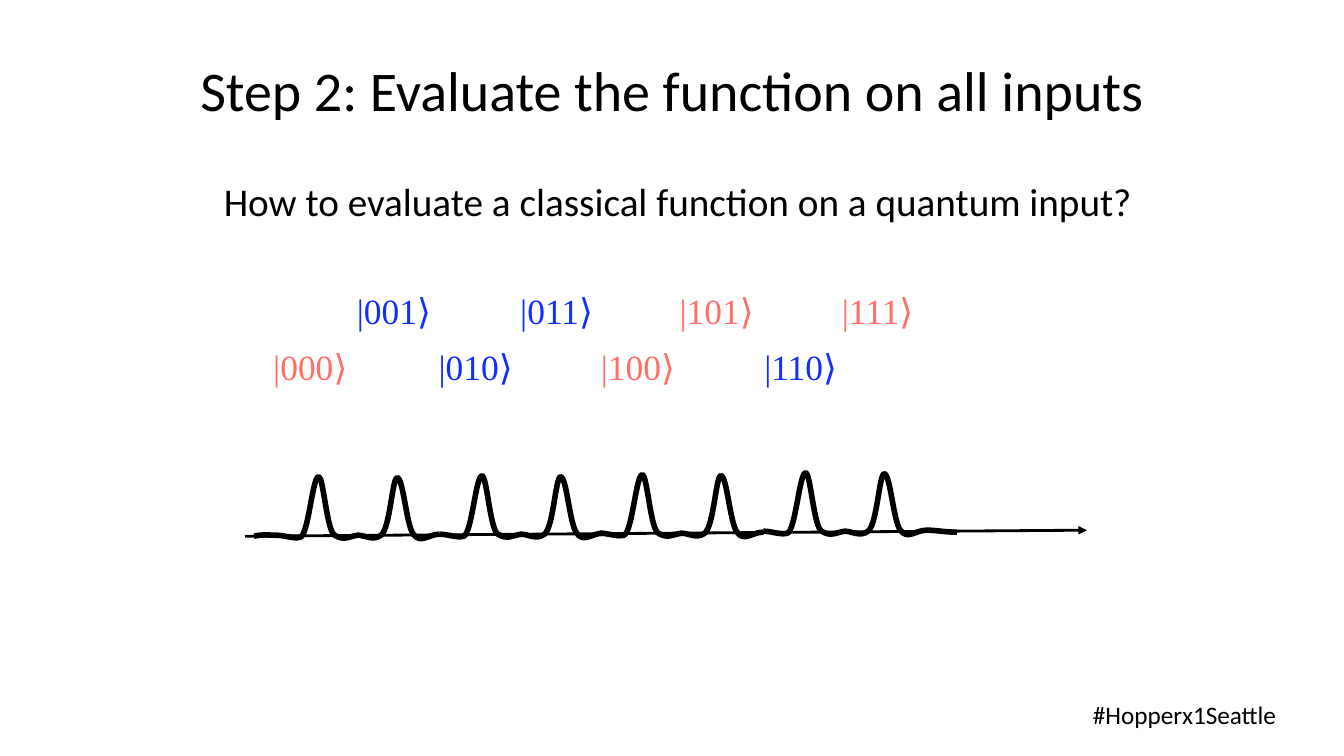
from dataclasses import dataclass

import pptx
import pptx.dml.color
import pptx.enum.shapes
import pptx.enum.text
import pptx.oxml
import pptx.oxml.ns
import pptx.util
from pptx.util import Inches


@dataclass
class Theme:
    black: str = "000000"
    coral: str = "FF6F67"
    blue: str = "102FFF"
    sans: str = "Calibri"
    serif: str = "Times New Roman"
    title: float = 40
    question: float = 28
    ket: float = 25.3
    tag: float = 18


theme = Theme()
align = pptx.enum.text.PP_ALIGN
namespace = pptx.oxml.ns.nsdecls("a")


def add_text(page, bounds, words, size, color, alignment=align.LEFT, wrap=True):
    box = page.shapes.add_textbox(*(Inches(value) for value in bounds))
    box.text_frame.word_wrap = wrap
    box.text_frame.auto_size = pptx.enum.text.MSO_AUTO_SIZE.SHAPE_TO_FIT_TEXT
    para = box.text_frame.paragraphs[0]
    para.text = words
    para.alignment = alignment
    para.font.name = theme.sans
    para.font.size = pptx.util.Pt(size)
    para.font.color.rgb = pptx.dml.color.RGBColor.from_string(color)
    return box.text_frame


def bend_segments(wave, curves):
    segments = list(wave._element.iter(pptx.oxml.ns.qn("a:lnTo")))
    for segment, (x1, y1, x2, y2, x3, y3) in zip(segments, curves):
        end_x, end_y = int(segment[0].get("x")), int(segment[0].get("y"))
        bezier = pptx.oxml.parse_xml(f"<a:cubicBezTo {namespace}/>")
        for x, y in ((x1, y1), (x2, y2), (x3, y3)):
            point_x, point_y = end_x + Inches(x - x3), end_y + Inches(y - y3)
            bezier.append(pptx.oxml.parse_xml(
                f'<a:pt {namespace} x="{point_x}" y="{point_y}"/>'))
        segment.getparent().replace(segment, bezier)


deck = pptx.Presentation()
deck.slide_width = Inches(13.33)
deck.slide_height = Inches(7.5)
page = deck.slides.add_slide(deck.slide_layouts[6])

add_text(page, (0.7, 0.5, 11.93, 0.77), "Step 2: Evaluate the function on all inputs",
         theme.title, theme.black, align.CENTER)
add_text(page, (10.74, 6.89, 2.05, 0.4), "#Hopperx1Seattle",
         theme.tag, theme.black, wrap=False)

ket_spans = ((2.57, 1.13), (3.4, 1.15), (4.21, 1.16), (5.02, 1.16),
             (5.82, 1.21), (6.6, 1.2), (7.44, 1.16), (8.21, 1.16))
blue_states = (1, 2, 3, 6)
for state, (left, width) in enumerate(ket_spans):
    top = 2.81 if state % 2 else 3.36
    color = theme.blue if state in blue_states else theme.coral
    frame = add_text(page, (left, top, width, 1.05), f"|{state:03b}", theme.ket, color)
    frame.margin_left = frame.margin_right = Inches(0.14)
    frame.margin_top = frame.margin_bottom = Inches(0.11)
    para = frame.paragraphs[0]
    para.line_spacing = 0.9
    para.space_after = pptx.util.Pt(4.3)
    para.runs[0].font.name = theme.serif
    para.add_run().text = "⟩"

axis = page.shapes.add_connector(pptx.enum.shapes.MSO_CONNECTOR.STRAIGHT,
                                 Inches(2.43), Inches(5.32), Inches(10.78), Inches(5.26))
axis.line.color.rgb = pptx.dml.color.RGBColor.from_string(theme.black)
axis.line.width = pptx.util.Pt(2)
axis.line._get_or_add_ln().append(
    pptx.oxml.parse_xml(f'<a:tailEnd {namespace} type="triangle"/>'))
axis._element.spPr.append(pptx.oxml.parse_xml(f"<a:effectLst {namespace}/>"))

pulse_pair = (
    (0.08, 0, 0.18, 0.04, 0.24, 0.02),
    (0.32, -0.01, 0.36, -0.58, 0.42, -0.58),
    (0.47, -0.58, 0.5, -0.04, 0.58, 0),
    (0.67, 0.06, 0.73, 0.01, 0.81, 0),
    (0.88, 0, 0.96, 0.06, 1.04, 0),
    (1.13, -0.07, 1.15, -0.57, 1.2, -0.57),
    (1.26, -0.57, 1.29, -0.1, 1.36, -0.01),
    (1.43, 0.09, 1.51, -0.01, 1.62, -0.01),
)
lead_in = ((-0.13, -0.01, -0.07, 0, 0, 0),)
lead_out = ((1.71, -0.01, 1.81, 0.01, 1.92, 0.01),)
waves = (
    (2.74, 5.31, (-0.22, 0.01), lead_in + pulse_pair),
    (4.36, 5.3, (0, 0), pulse_pair),
    (5.95, 5.29, (0, 0), pulse_pair),
    (7.57, 5.27, (0, 0), pulse_pair + lead_out),
)
wave_group = page.shapes.add_group_shape()
for left, base, start, curves in waves:
    ends = [start] + [curve[4:] for curve in curves]
    points = [(Inches(left + x), Inches(base + y)) for x, y in ends]
    builder = wave_group.shapes.build_freeform(*points[0])
    builder.add_line_segments(points[1:], close=False)
    wave = builder.convert_to_shape()
    bend_segments(wave, curves)
    wave.shadow.inherit = False
    wave.fill.background()
    wave.line.color.rgb = pptx.dml.color.RGBColor.from_string(theme.black)
    wave.line.width = pptx.util.Pt(4)

add_text(page, (2.03, 1.71, 9.38, 0.57),
         "How to evaluate a classical function on a quantum input?",
         theme.question, theme.black, align.CENTER, wrap=False)

deck.save("out.pptx")
